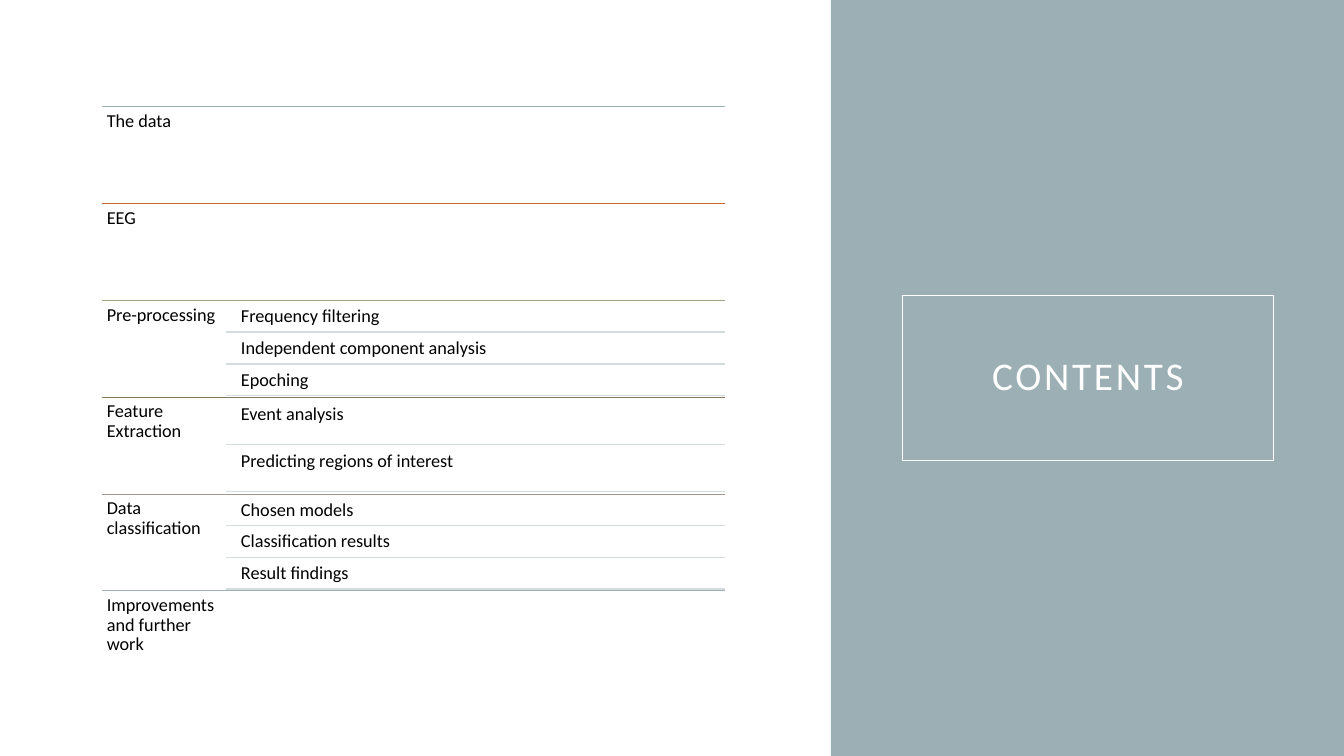
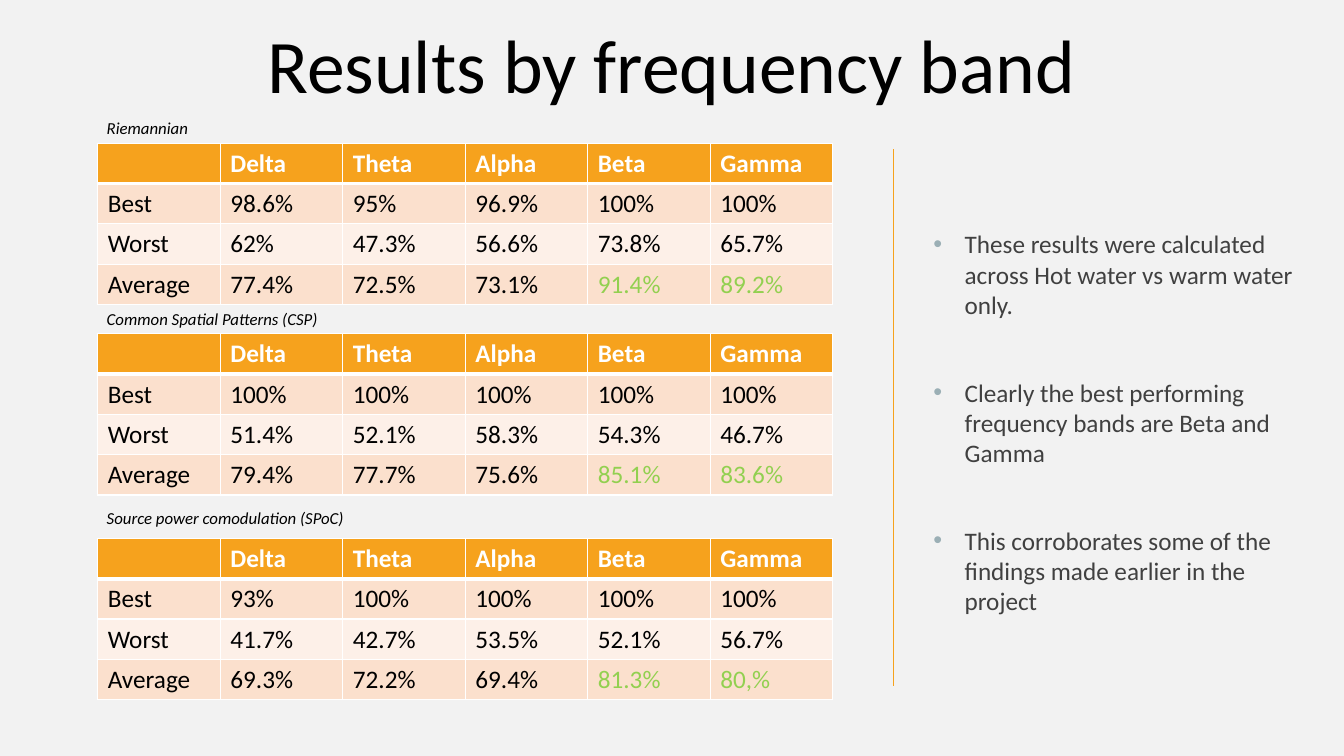
from dataclasses import dataclass

from lxml.etree import SubElement
from pptx import Presentation
from pptx.dml.color import RGBColor
from pptx.enum.shapes import MSO_CONNECTOR, MSO_SHAPE
from pptx.enum.text import MSO_ANCHOR, PP_ALIGN
from pptx.oxml.ns import qn
from pptx.util import Inches, Pt


@dataclass(frozen=True)
class Theme:
    font: str = "Calibri"
    # Colours
    white: str = "FFFFFF"
    black: str = "000000"
    paper: str = "F2F2F2"
    slate: str = "9BAFB5"
    mist: str = "D5DCDE"
    rust: str = "C96731"
    sage: str = "9CA383"
    olive: str = "87795D"
    stone: str = "A0988C"
    gold: str = "F6A21D"
    peach: str = "FBE0CD"
    cream: str = "FDF0E8"
    green: str = "92D050"
    gray: str = "404040"
    # Type sizes in points
    title: int = 54
    head: int = 28
    body: int = 18
    item: int = 13
    label: int = 12


def rgb(code):
    return RGBColor.from_string(code)


class Deck:
    def __init__(self, theme):
        self.theme = theme
        self.file = Presentation()
        self.file.slide_width = Inches(13.33)
        self.file.slide_height = Inches(7.5)
        self.slide = None
        self.layer = None

    def page(self, color):
        """Start a blank slide with a plain background."""
        self.slide = self.file.slides.add_slide(self.file.slide_layouts[6])
        fill = self.slide.background.fill
        fill.solid()
        fill.fore_color.rgb = rgb(color)
        self.layer = self.slide.shapes

    def group(self):
        """Draw what follows on this slide inside a group."""
        self.layer = self.slide.shapes.add_group_shape().shapes

    def style(self, para, size, color, bold=False, italic=False):
        font = para.font
        font.name, font.size = self.theme.font, Pt(size)
        font.bold, font.italic = bold, italic
        font.color.rgb = rgb(color)

    def rect(self, x, y, w, h, fill=None, line=None):
        box = self.layer.add_shape(MSO_SHAPE.RECTANGLE, Inches(x), Inches(y),
                                   Inches(w), Inches(h))
        box.shadow.inherit = False
        if fill:
            box.fill.solid()
            box.fill.fore_color.rgb = rgb(fill)
        else:
            box.fill.background()
        if line:
            box.line.color.rgb = rgb(line)
            box.line.width = Pt(0.75)
        else:
            box.line.fill.background()
        return box

    def rule(self, x1, y1, x2, y2, color, width=0.5):
        line = self.layer.add_connector(MSO_CONNECTOR.STRAIGHT, Inches(x1),
                                        Inches(y1), Inches(x2), Inches(y2))
        line.line.color.rgb = rgb(color)
        line.line.width = Pt(width)
        SubElement(line._element.spPr, qn("a:effectLst"))

    def inset(self, frame, size):
        frame.margin_left = frame.margin_right = Inches(size)
        frame.margin_top = frame.margin_bottom = Inches(size)

    def text(self, x, y, w, h, words, size, italic=False, wrap=True,
             align=PP_ALIGN.LEFT):
        box = self.layer.add_textbox(Inches(x), Inches(y), Inches(w), Inches(h))
        frame = box.text_frame
        frame.word_wrap = wrap
        para = frame.paragraphs[0]
        para.text = words
        para.alignment = align
        self.style(para, size, self.theme.black, italic=italic)
        return frame

    def item(self, x, y, w, h, words):
        frame = self.text(x, y, w, h, words, self.theme.item)
        self.inset(frame, 0.05)
        frame.paragraphs[0].line_spacing = 0.9

    def banner(self, x, y, w, h, words):
        """Framed heading with spaced letters."""
        frame = self.rect(x, y, w, h, line=self.theme.white).text_frame
        frame.word_wrap = True
        frame.vertical_anchor = MSO_ANCHOR.MIDDLE
        self.inset(frame, 0.2)
        para = frame.paragraphs[0]
        para.text = words
        para.alignment = PP_ALIGN.CENTER
        para.line_spacing = 0.9
        self.style(para, self.theme.head, self.theme.white)
        para.runs[0]._r.get_or_add_rPr().set("spc", "200")

    def bullets(self, x, y, w, h, points, gap):
        box = self.layer.add_textbox(Inches(x), Inches(y), Inches(w), Inches(h))
        frame = box.text_frame
        frame.word_wrap = True
        for i, point in enumerate(points):
            para = frame.add_paragraph() if i else frame.paragraphs[0]
            para.text = point
            if i:
                para.space_before = Pt(gap)
            props = para._p.get_or_add_pPr()
            props.set("marL", str(Inches(0.31)))
            props.set("indent", str(-Inches(0.31)))
            tint = SubElement(props, qn("a:buClr"))
            SubElement(tint, qn("a:srgbClr"), val=self.theme.slate)
            SubElement(props, qn("a:buFont"), typeface="Arial")
            SubElement(props, qn("a:buChar"), char="•")
            self.style(para, self.theme.body, self.theme.gray)

    def border(self, cell, top, bottom):
        props = cell._tc.get_or_add_tcPr()
        sides = {"L": 1, "R": 1, "T": top, "B": bottom}
        for side, width in sides.items():
            line = SubElement(props, qn(f"a:ln{side}"), w=str(Pt(width)))
            fill = SubElement(line, qn("a:solidFill"))
            SubElement(fill, qn("a:srgbClr"), val=self.theme.white)

    def table(self, x, y, w, h, rows):
        """Score table; the last two averages are picked out."""
        look = self.theme
        last, wide = len(rows) - 1, len(rows[0])
        table = self.layer.add_table(len(rows), wide, Inches(x), Inches(y),
                                     Inches(w), Inches(h)).table
        fills = [look.gold, look.peach, look.cream, look.peach]
        for r, row in enumerate(rows):
            for c, words in enumerate(row):
                cell = table.cell(r, c)
                self.border(cell, 3 if r == 1 else 1, 3 if r == 0 else 1)
                cell.fill.solid()
                cell.fill.fore_color.rgb = rgb(fills[r])
                color = look.black
                if r == 0:
                    color = look.white
                elif r == last and c >= wide - 2:
                    color = look.green
                para = cell.text_frame.paragraphs[0]
                para.text = words
                self.style(para, look.body, color, bold=r == 0)


def contents(deck):
    look = deck.theme
    deck.page(look.white)
    deck.rect(8.24, 0, 5.09, 7.5, fill=look.slate)
    deck.banner(8.95, 2.93, 3.68, 1.64, "CONTENTS")

    # Topics, each with its steps sharing the height of the row
    topics = [
        ("The data", look.slate, []),
        ("EEG", look.rust, []),
        ("Pre-processing", look.sage,
         ["Frequency filtering", "Independent component analysis", "Epoching"]),
        ("Feature Extraction", look.olive,
         ["Event analysis", "Predicting regions of interest"]),
        ("Data classification", look.stone,
         ["Chosen models", "Classification results", "Result findings"]),
        ("Improvements and further work", look.slate, []),
    ]
    left, mid, right, high = 1.01, 2.24, 7.19, 0.96
    deck.group()
    for i, (topic, color, steps) in enumerate(topics):
        top = 1.06 + i * high
        deck.rule(left, top, right, top, color)
        deck.item(left, top, 1.24, high, topic)
        count = len(steps)
        tall = high / (count + 0.05 * (count + 1))
        for j, step in enumerate(steps):
            y = top + 0.05 * tall + j * 1.05 * tall
            deck.item(mid + 0.1, y, 4.85, tall, step)
            deck.rule(mid, y + tall, right, y + tall, look.mist, 1)


def results(deck):
    look = deck.theme
    deck.page(look.paper)
    deck.text(2.51, 0.13, 8.3, 1.01, "Results by frequency band", look.title,
              wrap=False, align=PP_ALIGN.CENTER)

    # One captioned table for each method
    bands = ["", "Delta", "Theta", "Alpha", "Beta", "Gamma"]
    methods = [
        ("Riemannian", 1.12, 1.42,
         ["Best", "98.6%", "95%", "96.9%", "100%", "100%"],
         ["Worst", "62%", "47.3%", "56.6%", "73.8%", "65.7%"],
         ["Average", "77.4%", "72.5%", "73.1%", "91.4%", "89.2%"]),
        ("Common Spatial Patterns (CSP)", 3.01, 3.31,
         ["Best", "100%", "100%", "100%", "100%", "100%"],
         ["Worst", "51.4%", "52.1%", "58.3%", "54.3%", "46.7%"],
         ["Average", "79.4%", "77.7%", "75.6%", "85.1%", "83.6%"]),
        ("Source power comodulation (SPoC)", 4.99, 5.34,
         ["Best", "93%", "100%", "100%", "100%", "100%"],
         ["Worst", "41.7%", "42.7%", "53.5%", "52.1%", "56.7%"],
         ["Average", "69.3%", "72.2%", "69.4%", "81.3%", "80,%"]),
    ]
    for name, label, top, *scores in methods:
        deck.table(0.97, top, 7.29, 1.6, [bands, *scores])
        deck.text(0.96, label, 3.65, 0.3, name, look.label, italic=True)

    # Findings beside the tables
    deck.rule(8.86, 1.48, 8.86, 6.81, look.gold)
    deck.bullets(9.16, 2.22, 3.84, 5, [
        "These results were calculated across Hot water vs warm water only.",
        "Clearly the best performing frequency bands are Beta and Gamma",
        "This corroborates some of the findings made earlier in the project",
    ], gap=41)


def main():
    deck = Deck(Theme())
    contents(deck)
    results(deck)
    deck.file.save("out.pptx")


if __name__ == "__main__":
    main()
